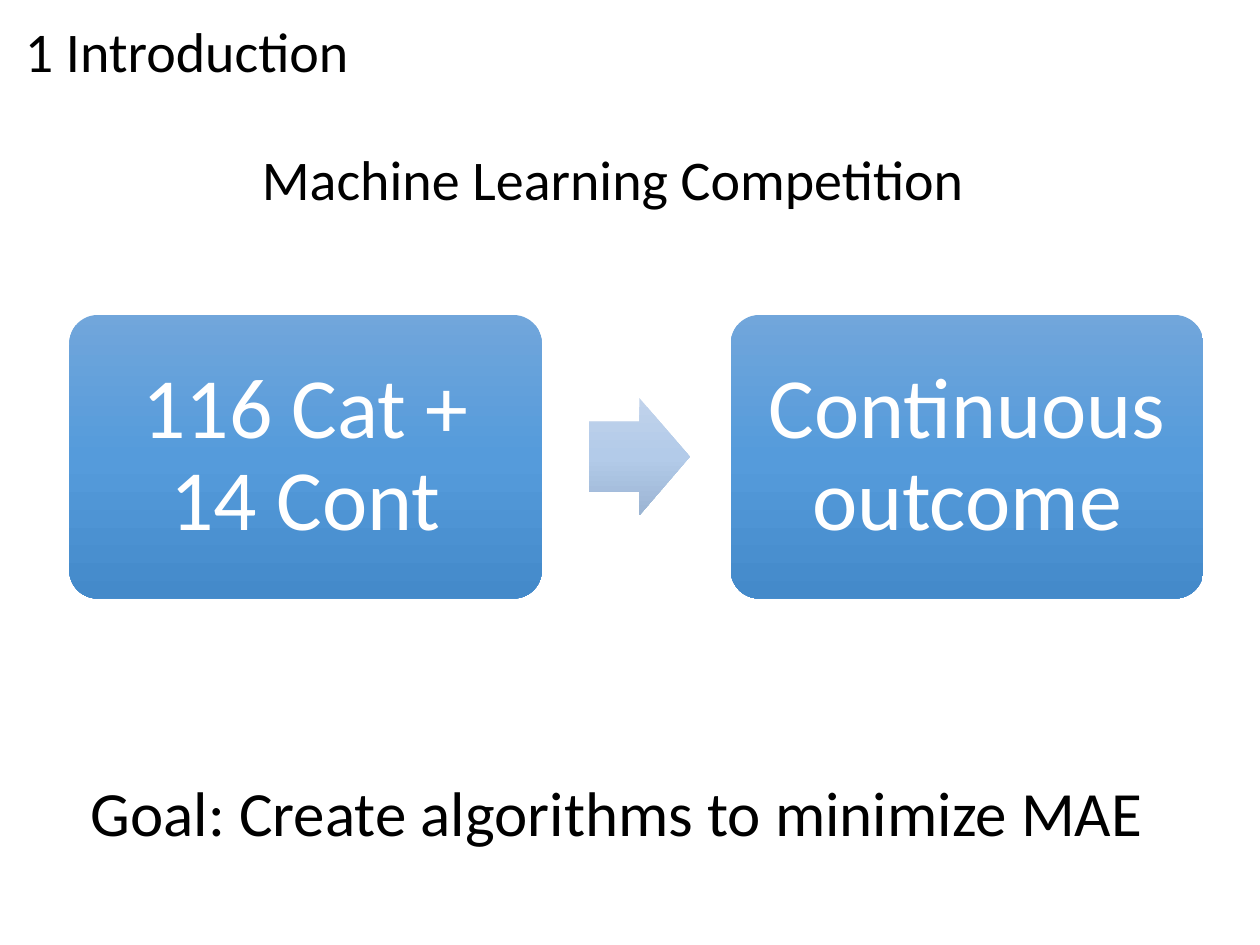
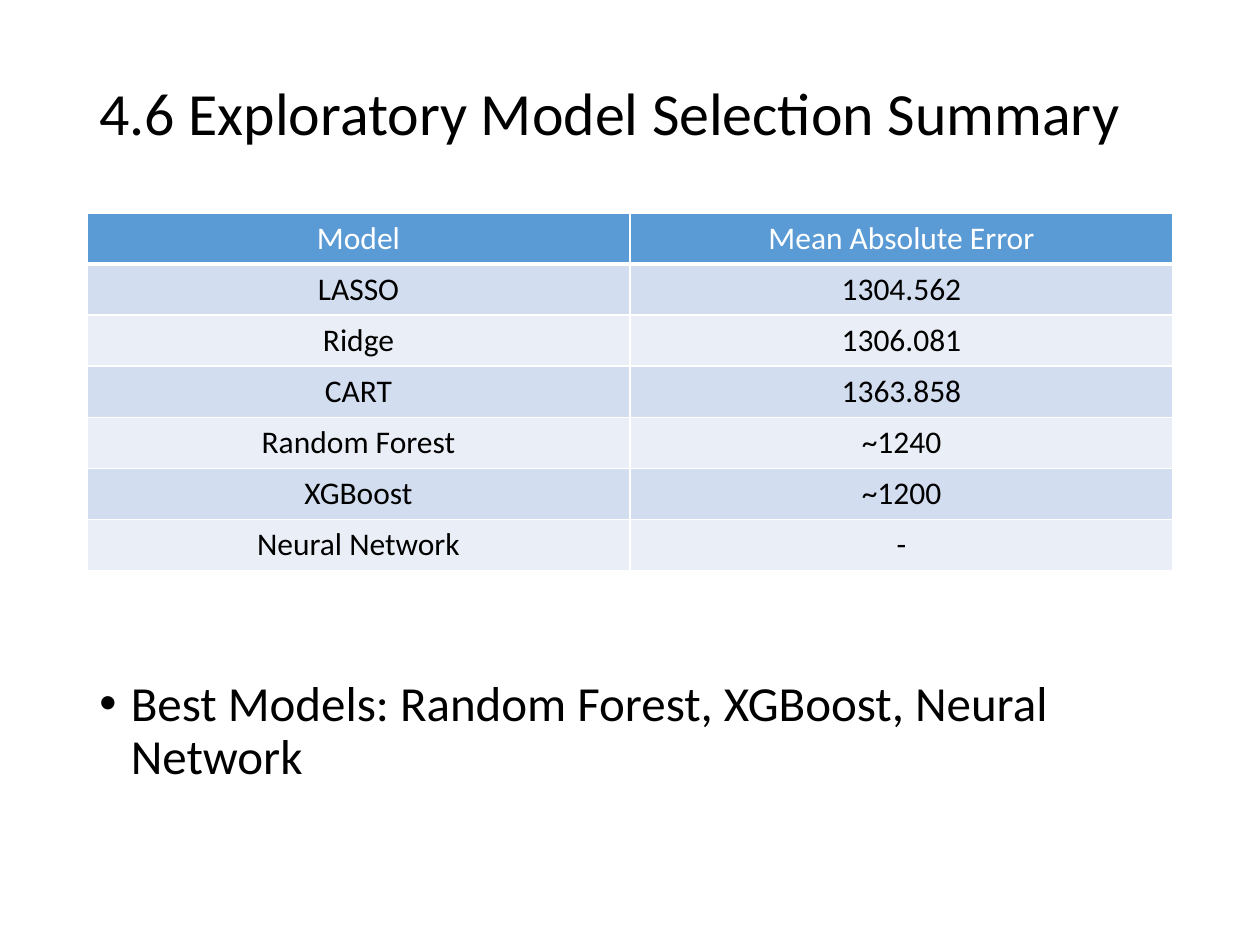
from copy import deepcopy

from lxml import etree
from pptx import Presentation
from pptx.dml.color import RGBColor
from pptx.enum.shapes import MSO_SHAPE
from pptx.enum.text import MSO_ANCHOR, MSO_AUTO_SIZE, PP_ALIGN
from pptx.oxml.ns import qn
from pptx.util import Inches, Pt

CENTER, MIDDLE = PP_ALIGN.CENTER, MSO_ANCHOR.MIDDLE
GROW = MSO_AUTO_SIZE.SHAPE_TO_FIT_TEXT
ROUNDED, ARROW = MSO_SHAPE.ROUNDED_RECTANGLE, MSO_SHAPE.RIGHT_ARROW

FONT = "Calibri"
BLACK = RGBColor(0x00, 0x00, 0x00)
WHITE = RGBColor(0xFF, 0xFF, 0xFF)
HEADER_BLUE = RGBColor(0x5B, 0x9B, 0xD5)
BANDS = (RGBColor(0xD2, 0xDE, 0xEF), RGBColor(0xEA, 0xEF, 0xF7))
CARD_STOPS = (RGBColor(0x71, 0xA6, 0xDB), RGBColor(0x55, 0x9B, 0xDB),
              RGBColor(0x44, 0x8A, 0xCA))
ARROW_STOPS = (RGBColor(0xC0, 0xD2, 0xEB), RGBColor(0xB3, 0xCB, 0xE9),
               RGBColor(0x9B, 0xB4, 0xD3))

MODEL_ERRORS = [
    ("Model", "Mean Absolute Error"),
    ("LASSO", "1304.562"),
    ("Ridge", "1306.081"),
    ("CART", "1363.858"),
    ("Random Forest", "~1240"),
    ("XGBoost", "~1200"),
    ("Neural Network", "-"),
]


def apply(target, formats):
    for name, value in formats.items():
        setattr(target, name, value)


def write(tf, text, size, color=BLACK, **paragraph):
    p = tf.paragraphs[0]
    apply(p, paragraph)
    r = p.add_run()
    r.text = text
    apply(r.font, {"name": FONT, "size": Pt(size)})
    r.font.color.rgb = color
    return p


def add_text(s, box, text, size, frame=None, **paragraph):
    tf = s.shapes.add_textbox(*map(Inches, box)).text_frame
    apply(tf, frame or {"word_wrap": True})
    return write(tf, text, size, **paragraph)


def add_gradient_shape(s, kind, box, adjustments, colors):
    sp = s.shapes.add_shape(kind, *map(Inches, box))
    sp.shadow.inherit = False
    sp.line.fill.background()
    for i, value in enumerate(adjustments):
        sp.adjustments[i] = value
    # Top-to-bottom gradient with evenly spaced stops
    sp.fill.gradient()
    sp.fill.gradient_angle = 270
    stop_list = sp._element.spPr.find(".//" + qn("a:gsLst"))
    stop_list.insert(1, deepcopy(stop_list[0]))
    for i, (stop, color) in enumerate(zip(sp.fill.gradient_stops, colors)):
        stop.color.rgb = color
        stop.position = i / (len(colors) - 1)
    return sp


def add_flow(s, box, labels):
    """Two cards at the ends of the box, with an arrow between them."""
    left, top, width, height = box
    card_w, arrow_w, arrow_h = 3.75, 0.8, 0.93
    for x, label in zip((left, left + width - card_w), labels):
        card = add_gradient_shape(s, ROUNDED, (x, top, card_w, height),
                                  (0.1,), CARD_STOPS)
        tf = card.text_frame
        apply(tf, {"word_wrap": True, "vertical_anchor": MIDDLE})
        apply(tf, {f"margin_{side}": Inches(0.2)
                   for side in ("left", "top", "right", "bottom")})
        write(tf, label, 49, WHITE, alignment=CENTER, line_spacing=0.9)
    # The arrow starts a quarter of the way into the gap
    gap = width - 2 * card_w
    arrow_box = (left + card_w + gap / 4, top + (height - arrow_h) / 2,
                 arrow_w, arrow_h)
    add_gradient_shape(s, ARROW, arrow_box, (0.6, 0.5), ARROW_STOPS)


def set_borders(cell, widths):
    tc_pr = cell._tc.get_or_add_tcPr()
    for side, width in zip("LRTB", widths):
        ln = etree.SubElement(tc_pr, qn(f"a:ln{side}"), w=str(Pt(width)))
        fill = etree.SubElement(ln, qn("a:solidFill"))
        etree.SubElement(fill, qn("a:srgbClr"), val=str(WHITE))


def add_error_table(s, box, rows):
    frame = s.shapes.add_table(len(rows), len(rows[0]), *map(Inches, box))
    for i, row in enumerate(rows):
        for j, text in enumerate(row):
            cell = frame.table.cell(i, j)
            # Heavier rule between the header and the body
            set_borders(cell, (1, 1, 3 if i == 1 else 1, 3 if i == 0 else 1))
            cell.fill.solid()
            cell.fill.fore_color.rgb = BANDS[(i - 1) % 2] if i else HEADER_BLUE
            write(cell.text_frame, text, 18, BLACK if i else WHITE,
                  alignment=CENTER)


def add_bullet(s, box, text):
    p = add_text(s, box, text, 28, line_spacing=0.9)
    p_pr = p._p.get_or_add_pPr()
    p_pr.set("marL", str(Inches(0.25)))
    p_pr.set("indent", str(-Inches(0.25)))
    etree.SubElement(p_pr, qn("a:buFont"), typeface="Arial")
    etree.SubElement(p_pr, qn("a:buChar"), char="•")


def introduction_slide(s):
    one_line = {"word_wrap": False, "auto_size": GROW}
    add_text(s, (0.1, 0.08, 2.84, 0.64), "1 Introduction", 32, one_line)
    add_text(s, (1.98, 1.1, 6.04, 0.64), "Machine Learning Competition", 32,
             one_line)
    add_flow(s, (0.55, 2.5, 9, 2.25),
             ("116 Cat + 14 Cont", "Continuous outcome"))
    add_text(s, (0.62, 6.09, 8.91, 0.71),
             "Goal: Create algorithms to minimize MAE", 36, one_line)


def summary_slide(s):
    left, width = 0.69, 8.62
    add_text(s, (left, 0.4, width, 1.05),
             "4.6 Exploratory Model Selection Summary", 34.2,
             {"word_wrap": True, "vertical_anchor": MIDDLE}, line_spacing=0.9)
    add_error_table(s, (left, 1.69, width, 2.84), MODEL_ERRORS)
    add_bullet(s, (left, 5.34, width, 1.28),
               "Best Models: Random Forest, XGBoost, Neural Network")


def main():
    prs = Presentation()
    prs.slide_width, prs.slide_height = Inches(10), Inches(7.5)
    for build in (introduction_slide, summary_slide):
        build(prs.slides.add_slide(prs.slide_layouts[6]))
    prs.save("out.pptx")


if __name__ == "__main__":
    main()
